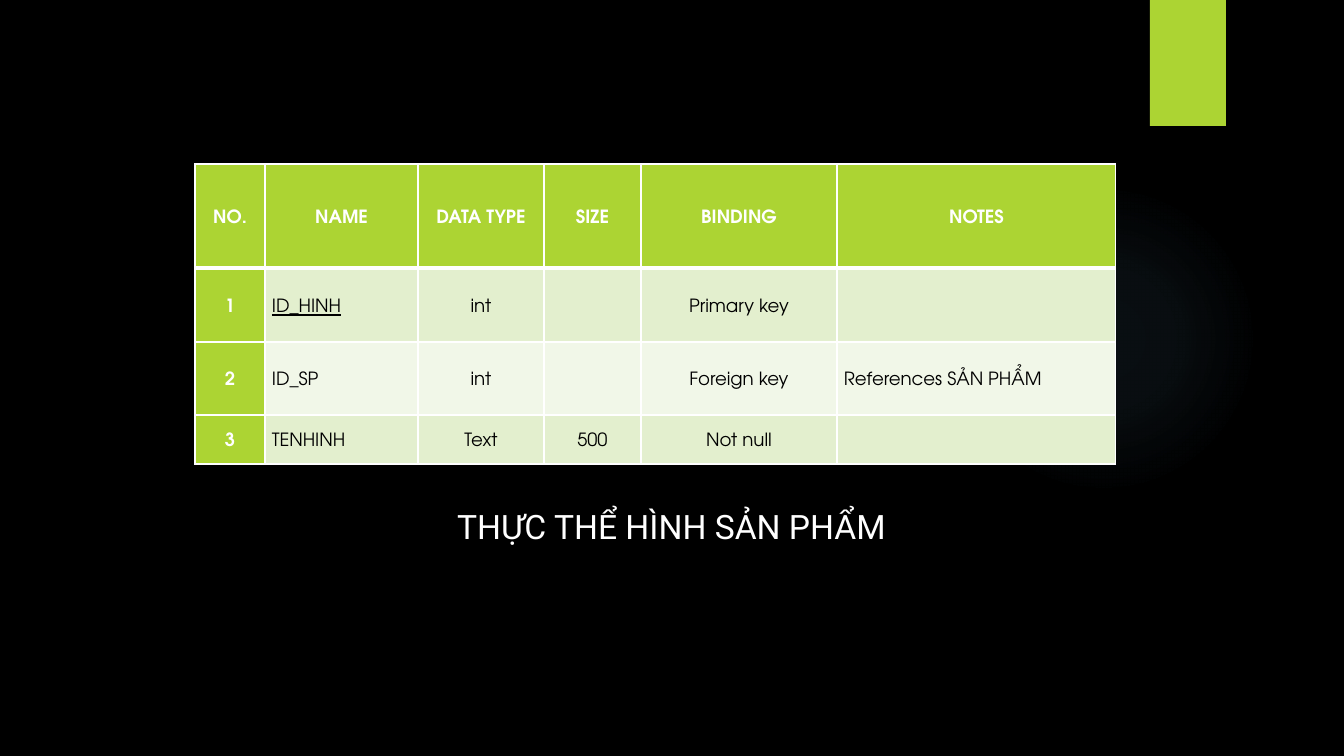
import pptx
import pptx.dml.color
import pptx.enum.shapes
import pptx.enum.text
import pptx.oxml
import pptx.oxml.ns
import pptx.util

CAPTION = "THỰC THỂ HÌNH SẢN PHẨM"
HEADINGS = ["NO.", "NAME", "DATA TYPE", "SIZE", "BINDING", "NOTES"]
FIELDS = [
    ["1", "ID_HINH", "int", "", "Primary key", ""],
    ["2", "ID_SP", "int", "", "Foreign key", "References SẢN PHẨM"],
    ["3", "TENHINH", "Text", "500", "Not null", ""],
]
KEY_FIELD = "ID_HINH"
LEFT_ALIGNED = {"NAME", "NOTES"}
COLUMN_WIDTHS = [70, 153, 126, 97, 196, 279]
ROW_HEIGHTS = [104, 74, 73, 49]

COLORS = {
    "background": "000000",
    "accent": "ACD433",
    "odd row": "E3EFCE",
    "even row": "F1F7E8",
    "light": "FFFFFF",
    "dark": "000000",
    "glow": "7AC4F0",
}
GLOW_STOPS = [(0, 7), (36, 6), (69, 0)]  # position and opacity, percent
TABLE_FONT, CAPTION_FONT = "TeX Gyre Adventor", "Roboto"
SLIDE_SIZE = (1344, 756)
EMU_PER_PIXEL = 12192000 / SLIDE_SIZE[0]
NAMESPACE = pptx.oxml.ns.nsdecls("a")


def px(*lengths):
    """Turn pixels into a list of EMU lengths."""
    return [pptx.util.Emu(round(length * EMU_PER_PIXEL)) for length in lengths]


def rgb(name):
    """Look up a named colour."""
    return pptx.dml.color.RGBColor.from_string(COLORS[name])


def add_plain_shape(slide, kind, box):
    """Add a preset shape without outline or shadow."""
    shape = slide.shapes.add_shape(kind, *px(*box))
    shape.shadow.inherit = False
    shape.line.fill.background()
    return shape


def add_glow(slide):
    """Add the faint round glow behind the table."""
    glow = add_plain_shape(slide, pptx.enum.shapes.MSO_SHAPE.OVAL, (949, 184, 310, 310))
    stops = "".join(
        f'<a:gs pos="{position * 1000}"><a:srgbClr val="{COLORS["glow"]}">'
        f'<a:alpha val="{opacity * 1000}"/></a:srgbClr></a:gs>'
        for position, opacity in GLOW_STOPS
    )
    gradient = pptx.oxml.parse_xml(
        f'<a:gradFill {NAMESPACE}><a:gsLst>{stops}</a:gsLst><a:path path="circle">'
        '<a:fillToRect l="50000" t="50000" r="50000" b="50000"/></a:path></a:gradFill>'
    )
    glow._element.spPr.insert(2, gradient)


def set_borders(cell, top, bottom):
    """Draw white cell borders, with top and bottom widths in points."""
    widths = {"lnL": 1, "lnR": 1, "lnT": top, "lnB": bottom}
    properties = cell._tc.get_or_add_tcPr()
    for index, (side, width) in enumerate(widths.items()):
        properties.insert(index, pptx.oxml.parse_xml(
            f'<a:{side} {NAMESPACE} w="{pptx.util.Pt(width)}"><a:solidFill>'
            f'<a:srgbClr val="{COLORS["light"]}"/></a:solidFill></a:{side}>'
        ))


def fill_cell(cell, text, row, column):
    """Write and format one cell according to its place in the table."""
    is_label = row == 0 or column == 0
    band = "odd row" if row % 2 else "even row"
    cell.fill.solid()
    cell.fill.fore_color.rgb = rgb("accent" if is_label else band)
    cell.vertical_anchor = pptx.enum.text.MSO_ANCHOR.MIDDLE
    cell.margin_left, cell.margin_right = px(7, 7)
    cell.margin_top = cell.margin_bottom = 0
    set_borders(cell, top=3 if row == 1 else 1, bottom=3 if row == 0 else 1)

    cell.text = text
    paragraph = cell.text_frame.paragraphs[0]
    left = row > 0 and HEADINGS[column] in LEFT_ALIGNED
    align = pptx.enum.text.PP_ALIGN
    paragraph.alignment = align.LEFT if left else align.CENTER
    paragraph.line_spacing = 1.25
    paragraph.space_before = pptx.util.Pt(6)
    paragraph.space_after = pptx.util.Pt(8)
    font = paragraph.font
    font.name, font.size, font.bold = TABLE_FONT, pptx.util.Pt(13), is_label
    font.color.rgb = rgb("light" if is_label else "dark")
    if text == KEY_FIELD:
        font.underline = True


def add_field_table(slide):
    """Add the table that describes the entity's fields."""
    rows = [HEADINGS] + FIELDS
    box = px(195, 164, sum(COLUMN_WIDTHS), sum(ROW_HEIGHTS))
    table = slide.shapes.add_table(len(rows), len(HEADINGS), *box).table
    table.horz_banding = False
    table.first_row = False
    for column, width in zip(table.columns, px(*COLUMN_WIDTHS)):
        column.width = width
    for row, height in zip(table.rows, px(*ROW_HEIGHTS)):
        row.height = height
    for row, texts in enumerate(rows):
        for column, text in enumerate(texts):
            fill_cell(table.cell(row, column), text, row, column)


def place_caption(slide):
    """Put the slide title below the table."""
    caption = slide.shapes.title
    caption.left, caption.top, caption.width, caption.height = px(407, 501, 529, 50)
    frame = caption.text_frame
    frame.text = CAPTION
    frame.word_wrap = True
    frame.auto_size = pptx.enum.text.MSO_AUTO_SIZE.NONE
    frame.vertical_anchor = pptx.enum.text.MSO_ANCHOR.MIDDLE
    paragraph = frame.paragraphs[0]
    paragraph.alignment = pptx.enum.text.PP_ALIGN.CENTER
    paragraph.font.name = CAPTION_FONT
    paragraph.font.size = pptx.util.Pt(24)
    paragraph.font.color.rgb = rgb("light")


presentation = pptx.Presentation()
presentation.slide_width, presentation.slide_height = px(*SLIDE_SIZE)
slide = presentation.slides.add_slide(presentation.slide_layouts[5])
slide.background.fill.solid()
slide.background.fill.fore_color.rgb = rgb("background")

add_glow(slide)
ribbon = add_plain_shape(slide, pptx.enum.shapes.MSO_SHAPE.RECTANGLE, (1150, 0, 76, 126))
ribbon.fill.solid()
ribbon.fill.fore_color.rgb = rgb("accent")
place_caption(slide)
add_field_table(slide)
presentation.save("out.pptx")
